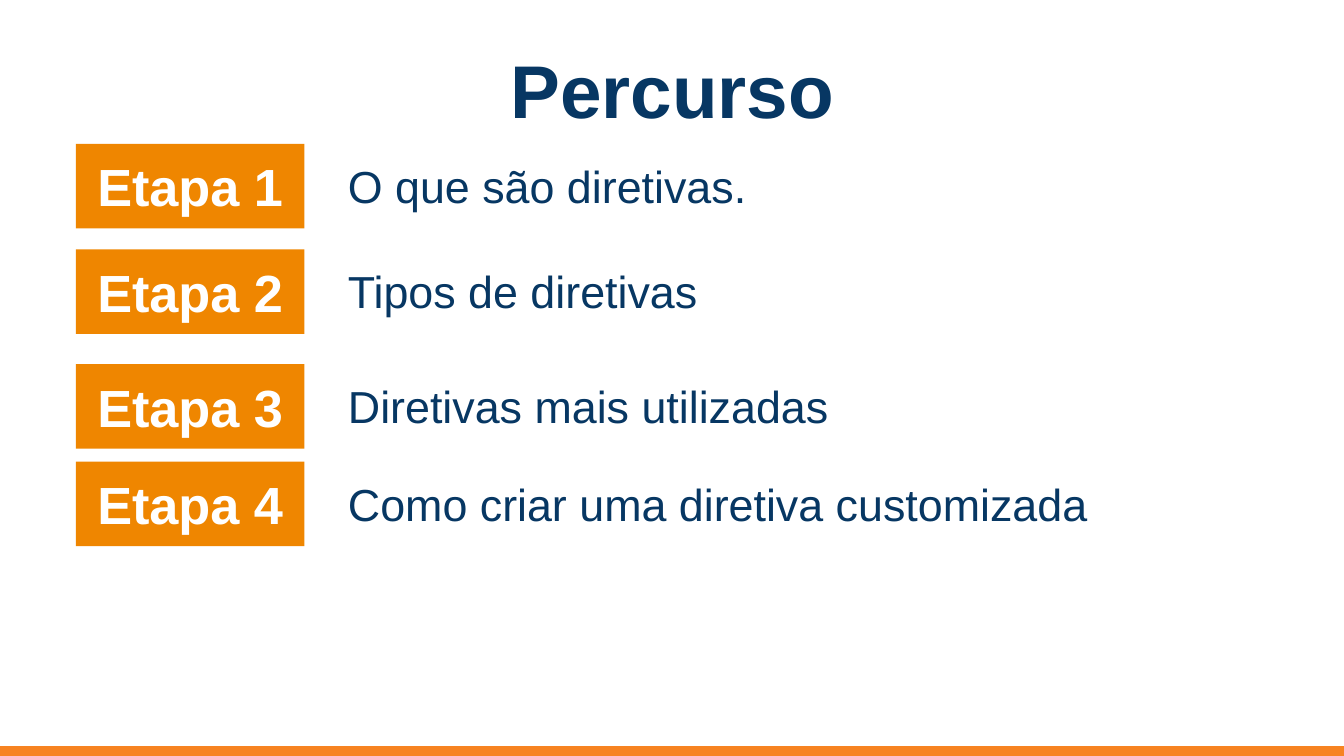
from dataclasses import dataclass

from pptx import Presentation
from pptx import util as u
from pptx.dml.color import RGBColor
from pptx.enum import shapes, text

PX = u.Inches(1) // 200  # 200 px to the inch


@dataclass(frozen=True)
class Theme:
    font: str = "Arial"
    navy: str = "073763"
    amber: str = "EF8600"
    edge: str = "F78321"
    white: str = "FFFFFF"
    title: int = 40
    label: int = 28
    body: int = 24


@dataclass(frozen=True)
class Box:
    left: int
    top: int
    width: int
    height: int

    def emu(self) -> list[int]:
        return [n * PX for n in (self.left, self.top, self.width, self.height)]


@dataclass(frozen=True)
class Step:
    top: int
    label: str
    topic: str


THEME = Theme()
STEPS = [
    Step(214, "Etapa 1", "O que são diretivas."),
    Step(371, "Etapa 2", "Tipos de diretivas"),
    Step(542, "Etapa 3", "Diretivas mais utilizadas"),
    Step(687, "Etapa 4", "Como criar uma diretiva customizada"),
]


def write(shape, words: str, size: int, color: str, head: bool) -> None:
    """Set the text; heads are bold and centred, others plain and left."""
    frame = shape.text_frame
    frame.text = words
    frame.word_wrap = True
    frame.margin_left = frame.margin_right = 20 * PX
    frame.margin_top = frame.margin_bottom = (20 if head else 10) * PX
    frame.vertical_anchor = text.MSO_ANCHOR.MIDDLE if head else text.MSO_ANCHOR.TOP
    par = frame.paragraphs[0]
    par.alignment = text.PP_ALIGN.CENTER if head else text.PP_ALIGN.LEFT
    font = par.runs[0].font
    font.name = THEME.font
    font.size = u.Pt(size)
    font.bold = head
    font.color.rgb = RGBColor.from_string(color)


def add_text(slide, box: Box, words: str, size: int, head: bool = False) -> None:
    write(slide.shapes.add_textbox(*box.emu()), words, size, THEME.navy, head)


def add_rect(slide, box: Box, color: str):
    rect = slide.shapes.add_shape(shapes.MSO_SHAPE.RECTANGLE, *box.emu())
    rect.shadow.inherit = False
    rect.fill.solid()
    rect.fill.fore_color.rgb = RGBColor.from_string(color)
    rect.line.fill.background()
    return rect


def add_step(slide, step: Step) -> None:
    tag = add_rect(slide, Box(113, step.top, 340, 126), THEME.amber)
    write(tag, step.label, THEME.label, THEME.white, head=True)
    add_text(slide, Box(498, step.top + 12, 1436, 100), step.topic, THEME.body)


def main() -> None:
    deck = Presentation()
    deck.slide_width, deck.slide_height = 2000 * PX, 1125 * PX
    slide = deck.slides.add_slide(deck.slide_layouts[6])

    # Title
    add_text(slide, Box(68, 67, 1864, 130), "Percurso", THEME.title, head=True)

    # Bottom bar
    bar = add_rect(slide, Box(0, 1111, 2000, 13), THEME.edge)
    bar.line.color.rgb = RGBColor.from_string(THEME.edge)
    bar.line.width = u.Pt(0.75)

    # Steps
    for step in STEPS:
        add_step(slide, step)

    deck.save("out.pptx")


if __name__ == "__main__":
    main()
